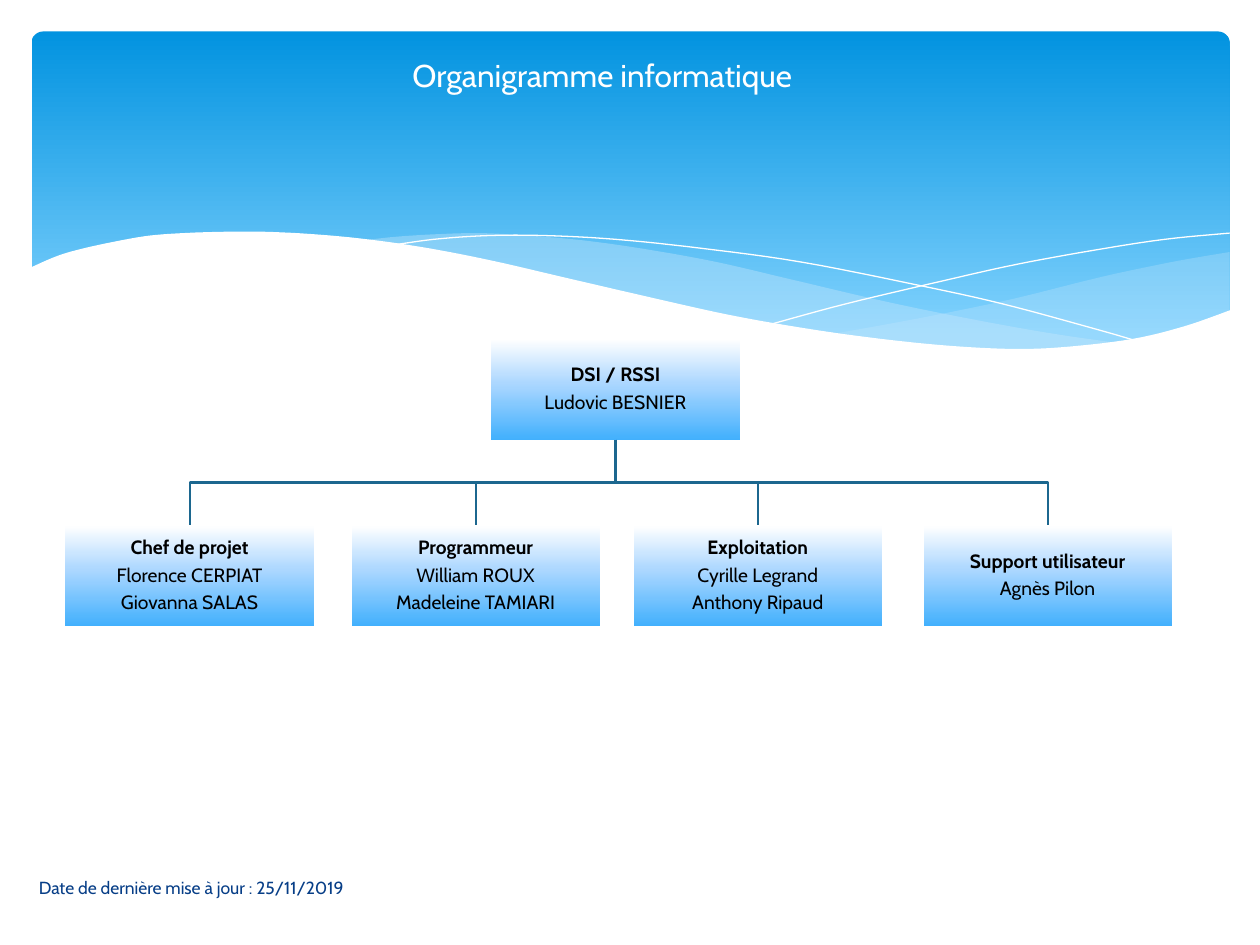
import dataclasses
import itertools

import lxml.etree
import pptx
import pptx.dml.color
import pptx.enum.shapes
import pptx.enum.text
import pptx.oxml.ns
import pptx.util

COLUMNS, ROWS = 100, 75
CELL = pptx.util.Inches(0.1)
qn = pptx.oxml.ns.qn


@dataclasses.dataclass(frozen=True)
class Theme:
    font: str = "Cabin"
    title_size: float = 18
    post_size: float = 11
    date_size: float = 10
    white: str = "FFFFFF"
    text: str = "000000"
    date: str = "073E87"
    link: str = "1C678F"
    mist: str = "C6E7FC"
    band: tuple = ((0, "0293E0"), (90, "83D3FE"))
    post: tuple = ((0, "FFFFFF"), (44, "ACD7FF"), (100, "42B0FD"))


THEME = Theme()


@dataclasses.dataclass(frozen=True)
class Box:
    left: float
    top: float
    width: float
    height: float

    def inner(self, left, top, width, height):
        return Box(self.left + left, self.top + top, width, height)

    def emu(self):
        return [round(side * CELL) for side in dataclasses.astuple(self)]


def rgb(color):
    return pptx.dml.color.RGBColor.from_string(color)


def set_font(paragraph, size, color, bold=False):
    font = paragraph.font
    font.name, font.size, font.bold = THEME.font, pptx.util.Pt(size), bold
    font.color.rgb = rgb(color)


def fill_gradient(shape, stops):
    shape.fill.gradient()
    shape.fill.gradient_angle = 270
    stop_list = shape.element.spPr.find(".//" + qn("a:gsLst"))
    for old in list(stop_list):
        stop_list.remove(old)
    for percent, color in stops:
        stop = lxml.etree.SubElement(stop_list, qn("a:gs"), pos=str(percent * 1000))
        lxml.etree.SubElement(stop, qn("a:srgbClr"), val=color)


def add_block(slide, preset, box, stops):
    block = slide.shapes.add_shape(preset, *box.emu())
    block.shadow.inherit = False
    block.line.fill.background()
    fill_gradient(block, stops)
    return block


def curve(knots, steps=6):
    padded = [knots[0], *knots, knots[-1]]
    points = [knots[0]]
    for a, b, c, d in zip(padded, padded[1:], padded[2:], padded[3:]):
        for step in range(1, steps + 1):
            t = step / steps
            points.append(tuple(
                0.5 * (2 * q + (r - p) * t + (2 * p - 5 * q + 4 * r - s) * t ** 2
                       + (3 * q - p - 3 * r + s) * t ** 3)
                for p, q, r, s in zip(a, b, c, d)))
    return points


def add_outline(slide, box, points, closed):
    places = [(round((box.left + x) * CELL), round((box.top + y) * CELL)) for x, y in points]
    builder = slide.shapes.build_freeform(*places[0], scale=1.0)
    builder.add_line_segments(places[1:], close=closed)
    outline = builder.convert_to_shape()
    outline.shadow.inherit = False
    return outline


def add_wave(slide, box, points, color, opacity=100):
    wave = add_outline(slide, box, points, True)
    wave.fill.solid()
    wave.fill.fore_color.rgb = rgb(color)
    wave.line.fill.background()
    if opacity < 100:
        tint = wave.element.spPr.find(".//" + qn("a:srgbClr"))
        lxml.etree.SubElement(tint, qn("a:alpha"), val=str(opacity * 1000))


def add_thread(slide, box, knots):
    thread = add_outline(slide, box, curve(knots), False)
    thread.fill.background()
    thread.line.color.rgb = rgb(THEME.white)
    thread.line.width = pptx.util.Pt(0)


def draw_header(slide, box):
    band = add_block(slide, pptx.enum.shapes.MSO_SHAPE.ROUNDED_RECTANGLE,
                     box.inner(2.5, 2.5, 95.1, 27), THEME.band)
    band.adjustments[0] = 0.034

    right_top = [(97.6, 20), (93.5, 20.7), (89.1, 21.6), (86.1, 22.3), (80.5, 23.7),
                 (75.3, 24.8), (70.6, 25.7), (66.1, 26.5)]
    right_bottom = [(66.1, 26.5), (70.5, 27.1), (75.7, 27.6), (80.3, 27.8), (85.4, 27.6),
                    (89.7, 27), (94.2, 25.9), (97.6, 24.7)]
    add_wave(slide, box, curve(right_top) + curve(right_bottom), THEME.mist, 29)

    middle_top = [(89.3, 27.3), (83.7, 26.5), (77.5, 25.4), (70.6, 24), (62.9, 22.2),
                  (56.9, 20.8), (51.4, 19.8), (46.5, 19.1), (42, 18.7), (38, 18.5),
                  (34.4, 18.6), (31.3, 18.8), (28.6, 19.1)]
    middle_bottom = [(28.6, 19.1), (34.2, 19.9), (40.4, 21.1), (44.9, 22.2), (53, 24),
                     (60.1, 25.5), (66.5, 26.6), (72.2, 27.4), (77.3, 27.7),
                     (81.8, 27.8), (85.7, 27.7), (89.3, 27.3)]
    add_wave(slide, box, curve(middle_top) + curve(middle_bottom), THEME.mist, 40)

    add_thread(slide, box, [(30.9, 19.5), (34.4, 19), (38.7, 18.7), (43.3, 18.7),
                            (48.9, 19), (55.6, 19.7), (63.6, 20.8), (72.7, 22.6),
                            (79.5, 24.1), (86.9, 26.1), (90.7, 27.2)])
    add_thread(slide, box, [(61.3, 25.7), (67.2, 24.1), (74.8, 22.3), (80.6, 21),
                            (86.6, 19.9), (92.4, 19), (97.6, 18.5)])

    crest = [(97.7, 24.6), (94, 25.9), (89.9, 26.9), (85, 27.5), (80.9, 27.7),
             (76.1, 27.5), (70.8, 27), (64.8, 26.2), (57.9, 25), (50.3, 23.3),
             (44.7, 22), (39.1, 20.7), (34, 19.7), (29.2, 19), (25, 18.6),
             (21.1, 18.4), (17.7, 18.4), (14.6, 18.5), (11.9, 18.7), (9.5, 19.1),
             (6.7, 19.7), (4.6, 20.3), (2.3, 21.3)]
    add_wave(slide, box, curve(crest) + [(2.3, 32.9), (97.7, 32.9)], THEME.white)


def place_title(slide, box, wording):
    title = slide.shapes.title
    title.left, title.top, title.width, title.height = box.emu()
    frame = title.text_frame
    frame.text = wording
    frame.auto_size = pptx.enum.text.MSO_AUTO_SIZE.NONE
    frame.vertical_anchor = pptx.enum.text.MSO_ANCHOR.MIDDLE
    frame.paragraphs[0].alignment = pptx.enum.text.PP_ALIGN.CENTER
    set_font(frame.paragraphs[0], THEME.title_size, THEME.white)


def add_date(slide, box, wording):
    frame = slide.shapes.add_textbox(*box.emu()).text_frame
    frame.word_wrap = True
    frame.vertical_anchor = pptx.enum.text.MSO_ANCHOR.MIDDLE
    frame.text = wording
    set_font(frame.paragraphs[0], THEME.date_size, THEME.date)


def add_post(slide, box, role, *people):
    post = add_block(slide, pptx.enum.shapes.MSO_SHAPE.RECTANGLE, box, THEME.post)
    frame = post.text_frame
    frame.word_wrap = True
    frame.vertical_anchor = pptx.enum.text.MSO_ANCHOR.MIDDLE
    frame.margin_left = frame.margin_right = pptx.util.Inches(0.01)
    frame.margin_top = frame.margin_bottom = pptx.util.Inches(0.01)
    frame.text = "\n".join([role, *people])
    for paragraph, bold in zip(frame.paragraphs, itertools.chain([True], itertools.repeat(False))):
        paragraph.alignment = pptx.enum.text.PP_ALIGN.CENTER
        paragraph.line_spacing = 0.9
        paragraph.space_after = pptx.util.Pt(3.85)
        set_font(paragraph, THEME.post_size, THEME.text, bold)
    return post


def link_posts(slide, head, member):
    start_x, start_y = head.left + head.width // 2, head.top + head.height
    end_x, end_y = member.left + member.width // 2, member.top
    link = slide.shapes.add_connector(pptx.enum.shapes.MSO_CONNECTOR.ELBOW,
                                      start_x, start_y, end_x, end_y)
    link.begin_connect(head, 2)
    link.end_connect(member, 0)
    drop, reach = end_y - start_y, abs(end_x - start_x)
    link.left, link.top = (start_x + end_x - drop) // 2, (start_y + end_y - reach) // 2
    link.width, link.height = drop, reach
    rightward = end_x > start_x
    frame = link.element.spPr.find(qn("a:xfrm"))
    frame.set("rot", str((270 if rightward else 90) * 60000))
    frame.set("flipH", str(int(rightward)))
    link.line.color.rgb = rgb(THEME.link)
    link.line.width = pptx.util.Pt(1.25)
    lxml.etree.SubElement(link.element.spPr, qn("a:effectLst"))


def draw_chart(slide, box):
    width, height, team_row = 19.7, 8, 14.8
    head = add_post(slide, box.inner(33.8, 0, width, height), "DSI / RSSI", "Ludovic BESNIER")
    team = [
        (0, "Chef de projet", "Florence CERPIAT", "Giovanna SALAS"),
        (22.7, "Programmeur", "William ROUX", "Madeleine TAMIARI"),
        (45.1, "Exploitation", "Cyrille Legrand", "Anthony Ripaud"),
        (68.1, "Support utilisateur", "Agnès Pilon"),
    ]
    members = [add_post(slide, box.inner(column, team_row, width, height), *wording)
               for column, *wording in team]
    for member in members:
        link_posts(slide, head, member)


def main():
    deck = pptx.Presentation()
    deck.slide_width, deck.slide_height = COLUMNS * CELL, ROWS * CELL
    slide = deck.slides.add_slide(deck.slide_layouts[5])
    draw_header(slide, Box(0, 0, COLUMNS, 33))
    title = slide.shapes.title.element
    title.getparent().append(title)
    place_title(slide, Box(2.8, 3.6, 90, 4.7), "Organigramme informatique")
    add_date(slide, Box(2.1, 68.4, 41.4, 4), "Date de dernière mise à jour : 25/11/2019")
    draw_chart(slide, Box(5.2, 26.9, 87.8, 22.8))
    deck.save("out.pptx")


if __name__ == "__main__":
    main()
